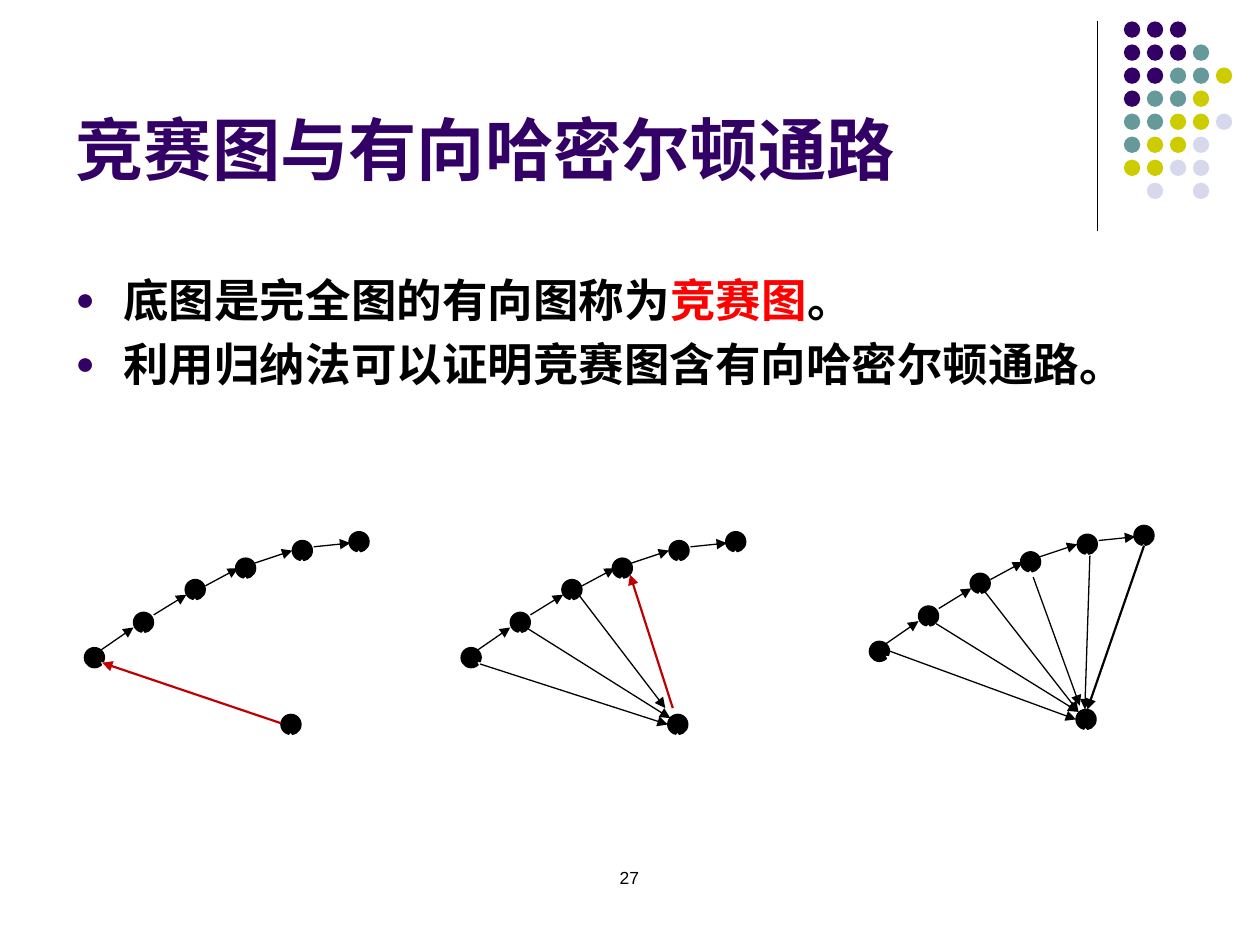
from pptx import Presentation
from pptx import util as u
from pptx.dml.color import RGBColor
from pptx.enum import shapes, text
from pptx.oxml import ns
from lxml import etree

PURPLE, TEAL, OLIVE, PALE = "330066", "669999", "CCCC00", "D8D8EC"
BLACK, RED, DARK_RED = "000000", "FF0000", "C00000"

DOT_COLORS = {"P": PURPLE, "T": TEAL, "O": OLIVE, "L": PALE}
DOT_ROWS = ["PPP", "PPPT", "PPTTO", "PTTO", "TTOOL", "TOOL", "OOLL", " L L"]
DOT_SIZE, DOT_DX, DOT_DY = 0.13, 0.73 / 4, 1.28 / 7

NODE_SIZE = 0.16
# Offsets from the corner of each graph's first vertex
PATH_NODES = [(0, 0), (0.39, -0.28), (0.8, -0.54), (1.2, -0.71), (1.65, -0.85), (2.1, -0.92)]
PATH_ARROWS = [
    ((0.13, 0.02), (0.39, -0.16)),
    ((0.55, -0.26), (0.81, -0.42)),
    ((0.96, -0.49), (1.22, -0.63)),
    ((1.35, -0.67), (1.65, -0.77)),
    ((1.82, -0.8), (2.11, -0.83)),
]
# Origin, offset of the added vertex, then its arrows: start, end, colour, width
GRAPHS = [
    ((0.67, 5.14), (1.56, 0.53), [((1.56, 0.6), (0.14, 0.12), DARK_RED, 1.25)]),
    ((3.66, 5.14), (1.64, 0.53), [
        ((1.68, 0.48), (1.34, -0.58), DARK_RED, 1.25),
        ((0.15, 0.13), (1.64, 0.61), BLACK, 0.75),
        ((0.53, -0.15), (1.66, 0.56), BLACK, 0.75),
        ((0.94, -0.41), (1.62, 0.48), BLACK, 0.75),
    ]),
    ((6.9, 5.09), (1.64, 0.54), [
        ((2.18, -0.76), (1.73, 0.54), BLACK, 1.25),
        ((0.14, 0.07), (1.64, 0.62), BLACK, 0.75),
        ((0.53, -0.14), (1.66, 0.56), BLACK, 0.75),
        ((0.92, -0.39), (1.66, 0.56), BLACK, 0.75),
        ((1.3, -0.51), (1.67, 0.51), BLACK, 0.75),
        ((1.75, -0.68), (1.71, 0.54), BLACK, 0.75),
    ]),
]


def rgb(value):
    return RGBColor.from_string(value)


def sub(parent, tag, **attrs):
    return etree.SubElement(parent, ns.qn(tag), **attrs)


class SlideBuilder:
    def __init__(self, s):
        self.s = s

    def place(self, sp, left, top, width, height):
        sp.left, sp.top = u.Inches(left), u.Inches(top)
        sp.width, sp.height = u.Inches(width), u.Inches(height)

    def run(self, p, words, size, color=BLACK, font="Arial", bold=False):
        r = p.add_run()
        r.text = words
        r.font.size, r.font.name, r.font.bold = u.Pt(size), font, bold
        r.font.color.rgb = rgb(color)

    def title(self, words, *box):
        sp = self.s.shapes.title
        self.place(sp, *box)
        tf = sp.text_frame
        tf.auto_size = text.MSO_AUTO_SIZE.NONE
        tf.vertical_anchor = text.MSO_ANCHOR.BOTTOM
        p = tf.paragraphs[0]
        p.alignment = text.PP_ALIGN.LEFT
        self.run(p, words, 39, PURPLE, bold=True)

    def bullets(self, items, *box):
        sp = self.s.placeholders[1]
        self.place(sp, *box)
        tf = sp.text_frame
        tf.auto_size = text.MSO_AUTO_SIZE.NONE
        for i, runs in enumerate(items):
            p = tf.add_paragraph() if i else tf.paragraphs[0]
            p.alignment = text.PP_ALIGN.LEFT if i else text.PP_ALIGN.JUSTIFY
            p.space_before = u.Pt(5.2 if i else 0)
            ppr = p._p.get_or_add_pPr()
            ppr.set("marL", str(u.Inches(0.38)))
            ppr.set("indent", str(-u.Inches(0.38)))
            sub(sub(ppr, "a:buClr"), "a:srgbClr", val=PURPLE)
            sub(ppr, "a:buSzPct", val="70000")
            sub(ppr, "a:buFont", typeface="Arial")
            sub(ppr, "a:buChar", char="●")
            for words, color in runs:
                self.run(p, words, 26, color, "Times New Roman", True)

    def label(self, words, *box):
        sp = self.s.shapes.add_textbox(*map(u.Inches, box))
        sp.text_frame.word_wrap = True
        p = sp.text_frame.paragraphs[0]
        p.alignment = text.PP_ALIGN.CENTER
        self.run(p, words, 10)

    def line(self, parent, start, end, color=BLACK, width=0.75, arrow=True):
        c = parent.add_connector(shapes.MSO_CONNECTOR.STRAIGHT, *map(u.Inches, (*start, *end)))
        c.line.color.rgb = rgb(color)
        c.line.width = u.Pt(width)
        if arrow:
            sub(c.line._get_or_add_ln(), "a:tailEnd", type="triangle")
        sub(c._element.spPr, "a:effectLst")

    def disc(self, parent, kind, x, y, size, color):
        sp = parent.add_shape(kind, *map(u.Inches, (x, y, size, size)))
        sp.shadow.inherit = False
        sp.fill.solid()
        sp.fill.fore_color.rgb = rgb(color)
        sp.line.fill.background()
        return sp

    def node(self, parent, x, y, tip=(-0.014, 0.366)):
        sp = self.disc(parent, shapes.MSO_SHAPE.OVAL_CALLOUT, x, y, NODE_SIZE, BLACK)
        sp.adjustments[0], sp.adjustments[1] = tip
        sp.line.color.rgb = rgb(BLACK)
        sp.line.width = u.Pt(0.75)

    def dot_pattern(self, left, top):
        group = self.s.shapes.add_group_shape().shapes
        for row, codes in enumerate(DOT_ROWS):
            for col, code in enumerate(codes):
                if code in DOT_COLORS:
                    self.disc(group, shapes.MSO_SHAPE.OVAL, left + col * DOT_DX,
                              top + row * DOT_DY, DOT_SIZE, DOT_COLORS[code])

    def graph(self, origin, added, arrows):
        """Draw the directed path, the added vertex and the arrows joining them."""
        group = self.s.shapes.add_group_shape().shapes

        def at(offset):
            return origin[0] + offset[0], origin[1] + offset[1]

        self.node(group, *at(PATH_NODES[0]), tip=(0.245, 0.171))
        for offset in PATH_NODES[1:] + [added]:
            self.node(group, *at(offset))
        for start, end in PATH_ARROWS:
            self.line(group, at(start), at(end))
        for start, end, color, width in arrows:
            self.line(group, at(start), at(end), color, width)


def main():
    prs = Presentation()
    prs.slide_width, prs.slide_height = u.Inches(10), u.Inches(7.5)
    b = SlideBuilder(prs.slides.add_slide(prs.slide_layouts[1]))
    b.line(b.s.shapes, (8.71, 0.17), (8.71, 1.83), arrow=False)
    b.dot_pattern(8.92, 0.17)
    b.title("竞赛图与有向哈密尔顿通路", 0.5, 0.13, 8.25, 1.42)
    b.bullets([
        [("底图是完全图的有向图称为", BLACK), ("竞赛图", RED), ("。", BLACK)],
        [("利用归纳法可以证明竞赛图含有向哈密尔顿通路。", BLACK)],
    ], 0.5, 2.11, 8.91, 1.4)
    for origin, added, arrows in GRAPHS:
        b.graph(origin, added, arrows)
    b.label("27", 3.83, 6.83, 2.33, 0.5)
    prs.save("out.pptx")


if __name__ == "__main__":
    main()
